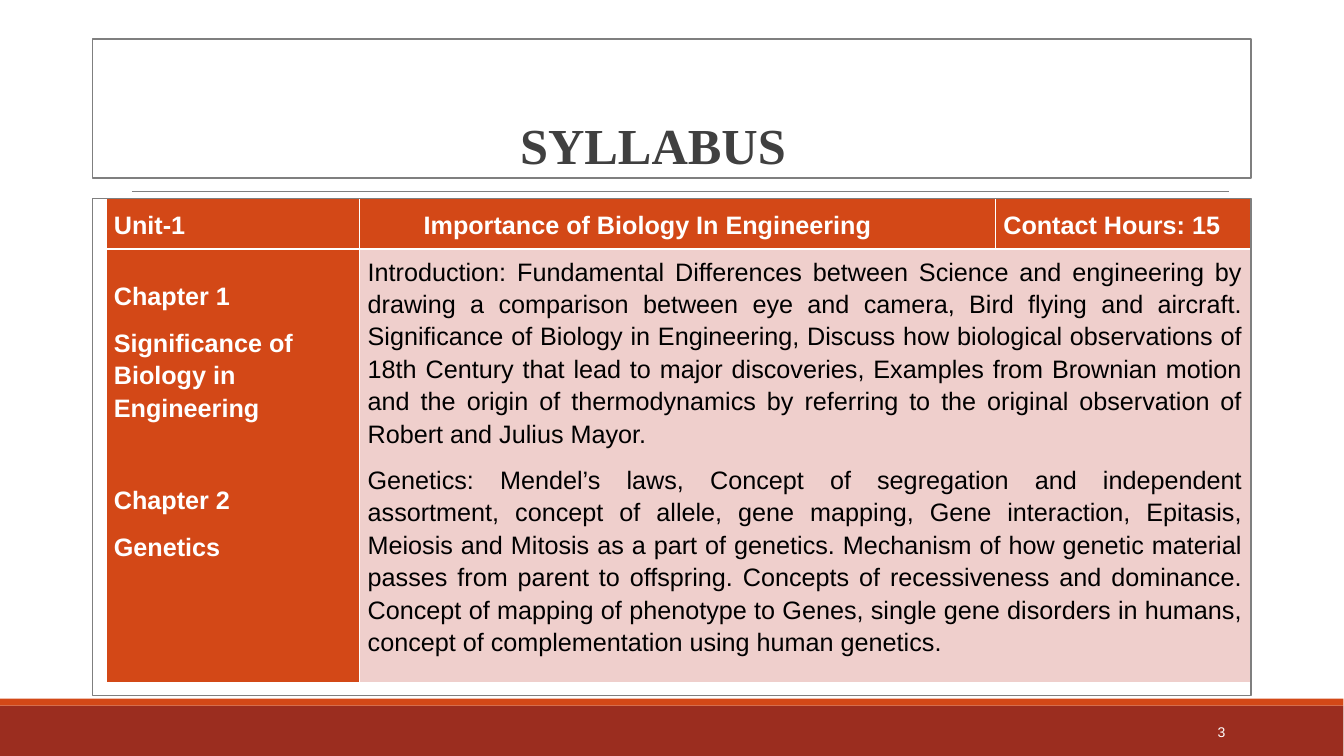
from lxml.etree import SubElement
from pptx import Presentation
from pptx.dml.color import RGBColor
from pptx.enum.shapes import MSO_CONNECTOR, MSO_SHAPE
from pptx.enum.text import MSO_ANCHOR, MSO_AUTO_SIZE, PP_ALIGN
from pptx.oxml.ns import qn
from pptx.util import Pt

COLORS = {
    "white": "FFFFFF", "black": "000000", "title": "404040", "gray": "7F7F7F",
    "orange": "D34817", "red": "9B2D1F", "pink": "EFCFCC",
}


def color(name):
    return RGBColor.from_string(COLORS[name])


def style(par, text, size, font, tint, bold=False, align=PP_ALIGN.LEFT):
    par.text = text
    par.alignment = align
    par.font.size = Pt(size)
    par.font.name = font
    par.font.bold = bold
    par.font.color.rgb = color(tint)


deck = Presentation()
deck.slide_width, deck.slide_height = Pt(960.48), Pt(540)
slide = deck.slides.add_slide(deck.slide_layouts[5])
shapes = slide.shapes

title = shapes.title
title.left, title.top, title.width, title.height = Pt(66.2), Pt(28), Pt(828), Pt(100.8)
frame = title.text_frame
frame.auto_size = MSO_AUTO_SIZE.NONE
frame.vertical_anchor = MSO_ANCHOR.BOTTOM
frame.margin_right = Pt(34.2)
style(frame.paragraphs[0], "SYLLABUS", 36, "Times New Roman", "title", True, PP_ALIGN.CENTER)
frame.paragraphs[0].line_spacing = 0.85

for top, height, tint in [(504, 36, "red"), (499, 5, "orange")]:
    bar = shapes.add_shape(MSO_SHAPE.RECTANGLE, 0, Pt(top), Pt(960), Pt(height))
    bar.shadow.inherit = False
    bar.fill.solid()
    bar.fill.fore_color.rgb = color(tint)
    bar.line.fill.background()

rule = shapes.add_connector(MSO_CONNECTOR.STRAIGHT, Pt(94.3), Pt(136.8), Pt(878.4), Pt(136.8))
rule.line.color.rgb = color("gray")
rule.line.width = Pt(0.5)
SubElement(rule._element.spPr, qn("a:effectLst"))

table = shapes.add_table(2, 3, Pt(75.6), Pt(141.8), Pt(817.9), Pt(345.6)).table
table.first_row = table.horz_banding = False
for col, width in zip(table.columns, [181.4, 454.3, 182.2]):
    col.width = Pt(width)
for row, height in zip(table.rows, [36, 309.6]):
    row.height = Pt(height)
table.cell(1, 1).merge(table.cell(1, 2))

INTRO = (
    "Introduction: Fundamental Differences between Science and engineering by drawing a "
    "comparison between eye and camera, Bird flying and aircraft. Significance of Biology in "
    "Engineering, Discuss how biological observations of 18th Century that lead to major "
    "discoveries, Examples from Brownian motion and the origin of thermodynamics by referring "
    "to the original observation of Robert and Julius Mayor."
)
GENES = (
    "Genetics: Mendel’s laws, Concept of segregation and independent assortment, concept of "
    "allele, gene mapping, Gene interaction, Epitasis, Meiosis and Mitosis as a part of "
    "genetics. Mechanism of how genetic material passes from parent to offspring. Concepts of "
    "recessiveness and dominance. Concept of mapping of phenotype to Genes, single gene "
    "disorders in humans, concept of complementation using human genetics."
)
TOPICS = ["Chapter 1", "Significance of Biology in Engineering", "Chapter 2", "Genetics"]
cells = [
    (0, 0, ["Unit-1"], 5.8, 3.6),
    (0, 1, ["Importance of Biology In Engineering"], 45.8, 3.6),
    (0, 2, ["Contact Hours: 15"], 5.8, 3.6),
    (1, 0, TOPICS, 5.8, 21.3),
    (1, 1, [INTRO, GENES], 5.8, 3.6),
]
for row, col, texts, left, top in cells:
    cell = table.cell(row, col)
    body = row == 1 and col == 1
    cell.margin_left, cell.margin_right = Pt(left), Pt(5.8)
    cell.margin_top, cell.margin_bottom = Pt(top), Pt(3.6)
    cell.vertical_anchor = MSO_ANCHOR.TOP if row else MSO_ANCHOR.MIDDLE
    props = cell._tc.get_or_add_tcPr()
    for side in "LRTB":
        thick = side == ("T" if row else "B")
        edge = SubElement(props, qn(f"a:ln{side}"), w=str(Pt(1.47 if thick else 0.45)))
        SubElement(SubElement(edge, qn("a:solidFill")), qn("a:srgbClr"), val=COLORS["white"])
    cell.fill.solid()
    cell.fill.fore_color.rgb = color("pink" if body else "orange")
    frame = cell.text_frame
    for i, text in enumerate(texts):
        par = frame.add_paragraph() if i else frame.paragraphs[0]
        align = PP_ALIGN.JUSTIFY if body else PP_ALIGN.LEFT
        style(par, text, 18, "Arial", "black" if body else "white", not body, align)
        par.line_spacing = 1.15
        par.space_after = Pt(10)
        if text == "Chapter 2":
            par.space_before = Pt(33)

number = shapes.add_textbox(Pt(779.8), Pt(508.3), Pt(103), Pt(28.8))
frame = number.text_frame
frame.word_wrap = True
frame.vertical_anchor = MSO_ANCHOR.MIDDLE
style(frame.paragraphs[0], "3", 10, "Arial", "white", align=PP_ALIGN.RIGHT)

for top, height in [(141.8, 355), (28, 99.4)]:
    box = shapes.add_shape(MSO_SHAPE.RECTANGLE, Pt(66.2), Pt(top), Pt(828), Pt(height))
    box.shadow.inherit = False
    box.fill.background()
    box.line.color.rgb = color("gray")
    box.line.width = Pt(1.25)

deck.save("out.pptx")
